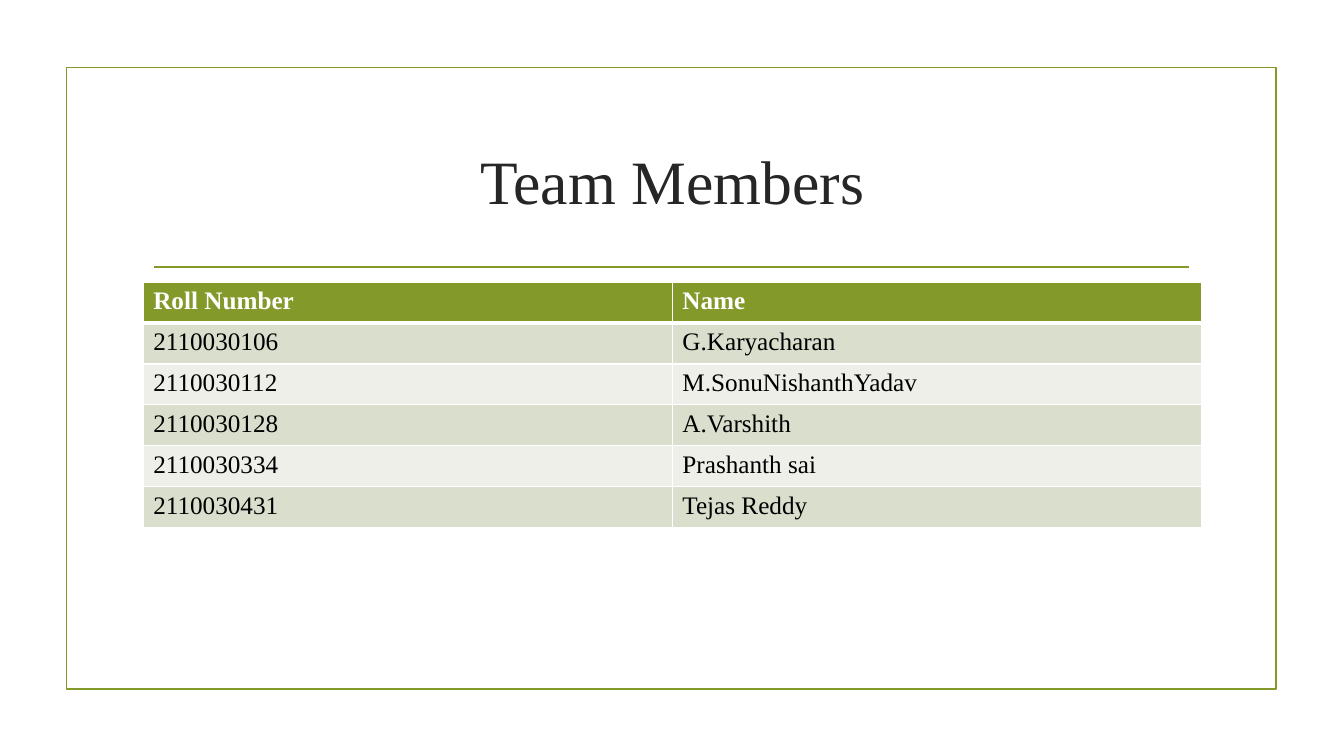
from lxml.etree import SubElement as Sub
from pptx import Presentation
from pptx.dml.color import RGBColor
from pptx.enum.shapes import MSO_CONNECTOR as Conn, MSO_SHAPE as Shape
from pptx.enum.text import MSO_ANCHOR as Anchor, PP_ALIGN as Align
from pptx.oxml.ns import qn
from pptx.util import Cm, Pt

FONT = "Times New Roman"
GREEN = "83992A"
WHITE = "FFFFFF"
BANDS = ["EDEFE8", "D9DECD"]
MEMBERS = [
    ("Roll Number", "Name"),
    ("2110030106", "G.Karyacharan"),
    ("2110030112", "M.SonuNishanthYadav"),
    ("2110030128", "A.Varshith"),
    ("2110030334", "Prashanth sai"),
    ("2110030431", "Tejas Reddy"),
]


def rgb(color):
    """Turn a hex string into a colour."""
    return RGBColor.from_string(color)


def style_text(p, size, color, bold=False):
    """Format every run of a paragraph."""
    for r in p.runs:
        r.font.name = FONT
        r.font.size = Pt(size)
        r.font.bold = bold
        r.font.color.rgb = rgb(color)


def style_line(line):
    """Give an outline the green theme stroke."""
    line.color.rgb = rgb(GREEN)
    line.width = Pt(1.25)


def add_frame(s, x, y, w, h):
    """Draw the slide frame and the rule under the title."""
    sp = s.shapes.add_shape(Shape.RECTANGLE, Cm(x), Cm(y), Cm(w), Cm(h))
    sp.shadow.inherit = False
    sp.fill.background()
    style_line(sp.line)
    inset, drop = 2.2, 5.03
    rule = s.shapes.add_connector(
        Conn.STRAIGHT, Cm(x + inset), Cm(y + drop), Cm(x + w - inset), Cm(y + drop))
    Sub(rule._element.spPr, qn("a:effectLst"))
    style_line(rule.line)


def add_title(s, text, x, y, w, h):
    """Place and format the title placeholder."""
    sp = s.shapes.title
    sp.left, sp.top, sp.width, sp.height = Cm(x), Cm(y), Cm(w), Cm(h)
    tf = sp.text_frame
    tf.text = text
    tf.vertical_anchor = Anchor.MIDDLE
    p = tf.paragraphs[0]
    p.alignment = Align.CENTER
    style_text(p, 44, "262626")


def add_border(cell, side, width):
    """Add a white border to one side of a cell."""
    ln = Sub(cell._tc.get_or_add_tcPr(), qn(f"a:ln{side}"), w=str(Pt(width)))
    Sub(Sub(ln, qn("a:solidFill")), qn("a:srgbClr"), val=WHITE)


def add_members(s, rows, x, y, w, h):
    """Build the banded member table with a header row."""
    table = s.shapes.add_table(
        len(rows), len(rows[0]), Cm(x), Cm(y), Cm(w), Cm(h)).table
    for i, row in enumerate(rows):
        header = i == 0
        for j, text in enumerate(row):
            cell = table.cell(i, j)
            cell.text = text
            style_text(cell.text_frame.paragraphs[0], 18,
                       WHITE if header else "000000", header)
            widths = {"L": 1, "R": 1, "T": 3 if i == 1 else 1, "B": 3 if header else 1}
            for side, width in widths.items():
                add_border(cell, side, width)
            cell.fill.solid()
            cell.fill.fore_color.rgb = rgb(GREEN if header else BANDS[i % 2])


def main():
    """Build the team slide and save it."""
    prs = Presentation()
    prs.slide_width, prs.slide_height = Cm(33.87), Cm(19.05)
    s = prs.slides.add_slide(prs.slide_layouts[5])
    add_frame(s, 1.68, 1.7, 30.48, 15.67)
    add_title(s, "Team Members", 3.61, 2.72, 26.67, 3.63)
    add_members(s, MEMBERS, 3.61, 7.11, 26.67, 6.18)
    prs.save("out.pptx")


if __name__ == "__main__":
    main()
